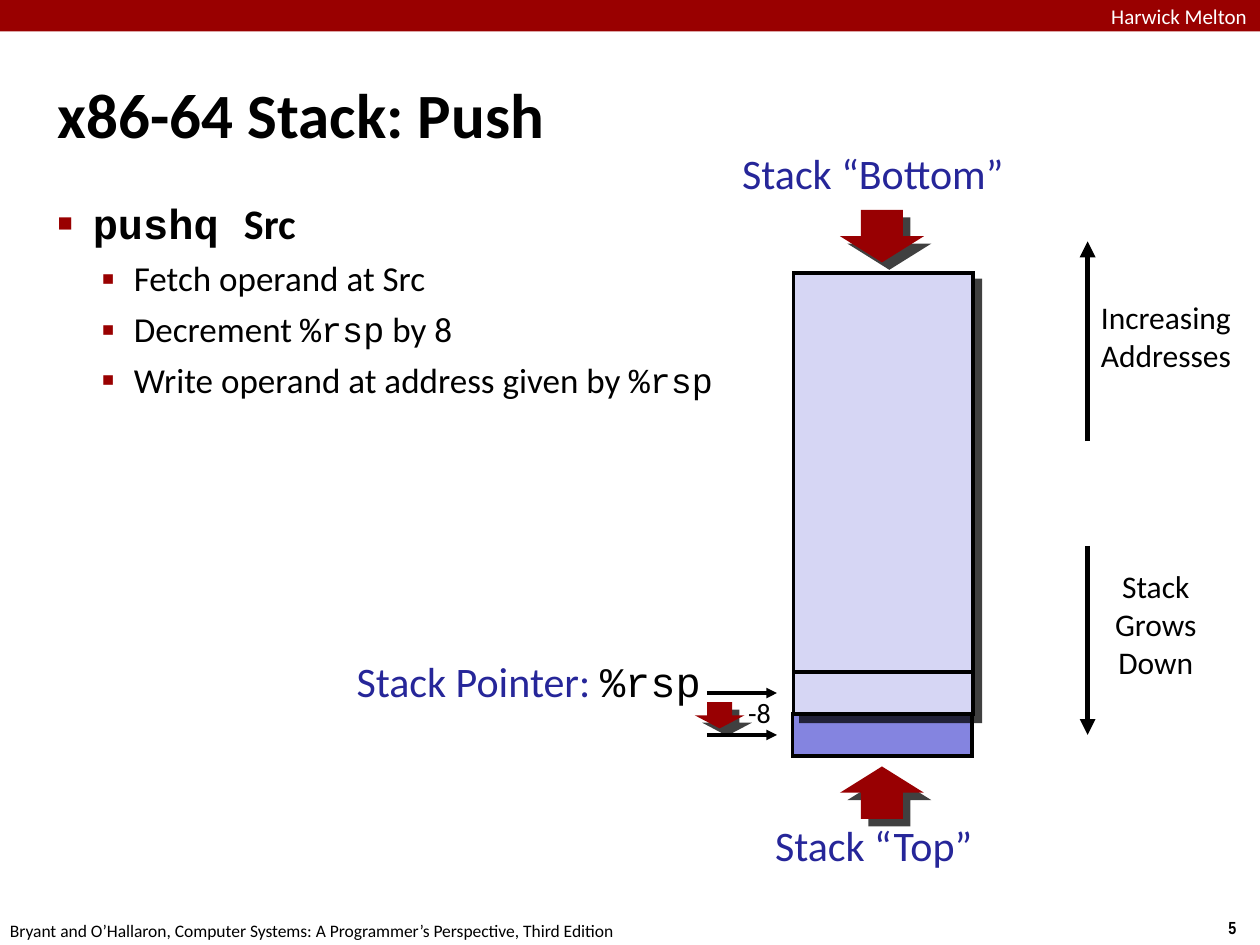
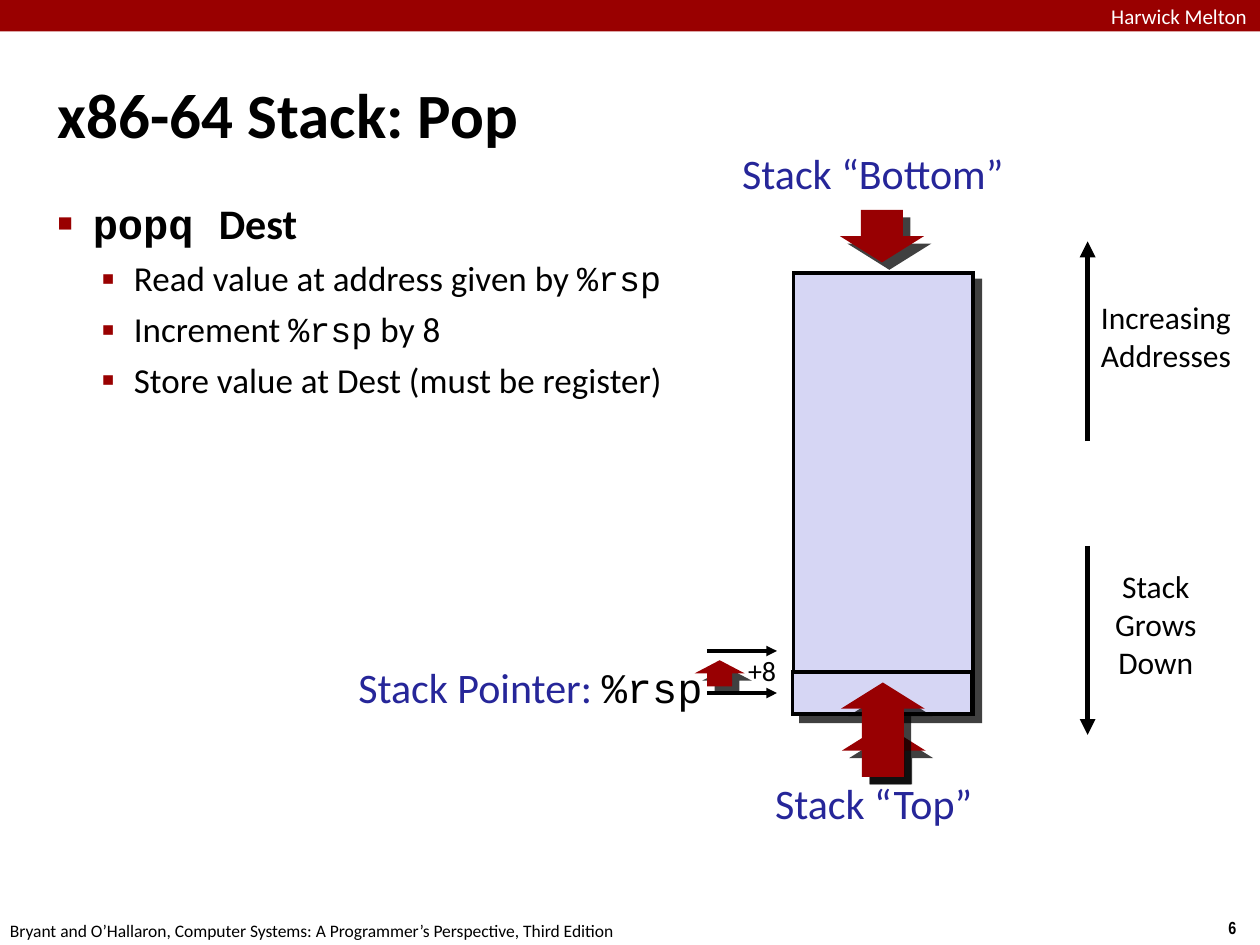
from pptx import Presentation
from pptx.util import Pt
from pptx.dml.color import RGBColor as RGB
from pptx.enum.shapes import MSO_SHAPE as Shape, MSO_CONNECTOR as Link
from pptx.enum.text import PP_ALIGN as Align, MSO_ANCHOR as Anchor
from pptx.oxml.ns import qn
from lxml.etree import SubElement as Sub


class Theme:
    black = RGB.from_string("000000")
    white = RGB.from_string("FFFFFF")
    band = RGB.from_string("990000")
    arrow = RGB.from_string("980002")
    label = RGB.from_string("262699")
    light = RGB.from_string("D6D6F4")
    dark = RGB.from_string("8484E0")
    sans, mono, narrow = "Calibri", "Courier New", "Arial Narrow"
    title, head, item, side, step, mark, foot = 36, 24, 20, 18, 16, 12, 10


# Text in backticks is code: monospaced and black
def write(page, at, lines, size, color=Theme.black, align=Align.CENTER,
          pad=(0, 0), wrap=False, bold=False, font=Theme.sans):
    frame = page.shapes.add_textbox(*map(Pt, at)).text_frame
    frame.word_wrap = wrap
    frame.margin_left = frame.margin_right = Pt(pad[0])
    frame.margin_top = frame.margin_bottom = Pt(pad[1])
    for i, line in enumerate(lines):
        para = frame.paragraphs[0] if i == 0 else frame.add_paragraph()
        para.alignment = align
        for j, part in enumerate(line.split("`")):
            if part:
                run = para.add_run()
                run.text = part
                run.font.size = Pt(size)
                run.font.bold = bold
                run.font.name = Theme.mono if j % 2 else font
                run.font.color.rgb = Theme.black if j % 2 else color
    return frame


def draw(page, kind, at, fill, edge=False, shade=False):
    shape = page.shapes.add_shape(kind, *map(Pt, at))
    shape.fill.solid()
    shape.fill.fore_color.rgb = fill
    if edge:
        shape.line.color.rgb = Theme.black
        shape.line.width = Pt(2)
        Sub(shape.line._get_or_add_ln(), qn("a:miter"), lim="800000")
    else:
        shape.line.fill.background()
    shape.shadow.inherit = False
    if shade:
        glow = shape._element.spPr.find(qn("a:effectLst"))
        drop = Sub(glow, qn("a:outerShdw"), blurRad="0", dist=str(Pt(6)),
                   dir="2700000", algn="ctr", rotWithShape="0")
        tone = Sub(drop, qn("a:srgbClr"), val="000000")
        Sub(tone, qn("a:alpha"), val="75000")
    return shape


# Stack geometry
left, top, wide, cell = 453, 156, 102.5, 24
base = 408           # lower edge of the stack
rsp = base - cell / 2  # height of the pointer before the step

pages = [
    dict(num="5", title="x86-64 Stack: Push", head="`pushq `Src",
         items=["Fetch operand at Src", "Decrement `%rsp` by 8",
                "Write operand at address given by `%rsp`"],
         step="-8", next=rsp + cell, name=(200.5, 374.5), end=468),
    dict(num="6", title="x86-64 Stack: Pop", head="`popq `Dest",
         items=["Read value at address given by `%rsp`",
                "Increment `%rsp` by 8",
                "Store value at Dest (must be register)"],
         step="+8", next=rsp - cell, name=(201.5, 378), end=444),
]

deck = Presentation()
deck.slide_width, deck.slide_height = Pt(720), Pt(540)

for info in pages:
    page = deck.slides.add_slide(deck.slide_layouts[6])
    push = info["next"] > rsp

    # Band, footer and title
    draw(page, Shape.RECTANGLE, (0, 0, 720, 18), Theme.band)
    write(page, (635, 2, 104, 14), ["Harwick Melton"], Theme.mark,
          Theme.white, Align.LEFT, wrap=True)
    write(page, (692, 520.5, 24.5, 19.5), [info["num"]], Theme.foot,
          pad=(3.6, 3.6), bold=True, font=Theme.narrow)
    write(page, (-5, 522, 366, 19.5),
          ["Bryant and O’Hallaron, Computer Systems: "
           "A Programmer’s Perspective, Third Edition"],
          Theme.foot, pad=(7.2, 3.6))
    frame = write(page, (30, 20, 660, 90), [info["title"]], Theme.title,
                  align=Align.LEFT, pad=(3, 3), wrap=True, bold=True)
    frame.vertical_anchor = Anchor.MIDDLE

    # Bulleted text
    frame = write(page, (30, 110, 660, 428), [info["head"]] + info["items"],
                  Theme.item, align=Align.LEFT, pad=(3, 3), wrap=True)
    for i, para in enumerate(frame.paragraphs):
        first = i == 0
        if first:
            for run in para.runs:
                run.font.size, run.font.bold = Pt(Theme.head), True
        para.level = 0 if first else 1
        para.space_before = Pt(6 if first else 5)
        prop = para._p.get_or_add_pPr()
        prop.set("marL", str(Pt(20 if first else 43.5)))
        prop.set("indent", str(Pt(-20 if first else -18.5)))
        Sub(Sub(prop, qn("a:buClr")), qn("a:srgbClr"), val=str(Theme.band))
        Sub(prop, qn("a:buSzPct"), val="60000" if first else "110000")
        Sub(prop, qn("a:buFont"), typeface="Arial")
        Sub(prop, qn("a:buChar"), char="■" if first else "▪")

    # Stack, with the pushed cell or the old top arrow behind it
    if push:
        draw(page, Shape.RECTANGLE, (left, base, wide, cell), Theme.dark,
             edge=True)
    else:
        draw(page, Shape.UP_ARROW, (481, 414, 48, 30), Theme.arrow,
             shade=True)
    draw(page, Shape.RECTANGLE, (left + 0.5, top, wide, base - top),
         Theme.light, edge=True, shade=True)
    if not push:
        draw(page, Shape.RECTANGLE, (left, base - cell, wide, cell),
             Theme.light, edge=True)

    # Cell border, pointer arrows and direction arrows
    for x, y, end, stop, width, tip in [
            (left, base - cell, left + wide, base - cell, 2, False),
            (404, rsp, 444, rsp, 2, True),
            (404, info["next"], 444, info["next"], 2, True),
            (621.5, 252, 621.5, 138, 3, True),
            (621.5, 312, 621.5, 420, 3, True)]:
        line = page.shapes.add_connector(Link.STRAIGHT,
                                         *map(Pt, (x, y, end, stop)))
        line.line.color.rgb = Theme.black
        line.line.width = Pt(width)
        if tip:
            Sub(line.line._get_or_add_ln(), qn("a:tailEnd"), type="triangle")
        Sub(line._element.spPr, qn("a:effectLst"))

    # Step of the pointer
    high = min(rsp, info["next"])
    draw(page, Shape.DOWN_ARROW if push else Shape.UP_ARROW,
         (397, high + 5.25, 28.5, 15), Theme.arrow, shade=True)
    write(page, (414 if push else 415.5, high - 1.5, 40, 25), [info["step"]],
          Theme.step, pad=(3, 3))
    write(page, (*info["name"], 200, 29), ["Stack Pointer: `%rsp`"],
          Theme.head, Theme.label, Align.RIGHT)

    # Labels and arrows at both ends
    write(page, (418.5, 84, 160.5, 35), ["Stack “Bottom”"], Theme.head,
          Theme.label)
    draw(page, Shape.DOWN_ARROW, (480, 120, 48, 30), Theme.arrow, shade=True)
    write(page, (438, info["end"], 122.5, 35), ["Stack “Top”"], Theme.head,
          Theme.label)
    rise = 30 if push else 54
    mark = draw(page, Shape.UP_ARROW,
                (480 if push else 480.5, info["end"] - rise, 48, rise),
                Theme.arrow, shade=True)
    mark.adjustments[1] = 15 / min(48, rise)

    # Side notes
    write(page, (625.5, 170.5, 81.5, 50), ["Increasing", "Addresses"],
          Theme.side)
    write(page, (628.5, 324, 64, 72), ["Stack Grows", "Down"], Theme.side,
          wrap=True)

deck.save("out.pptx")
